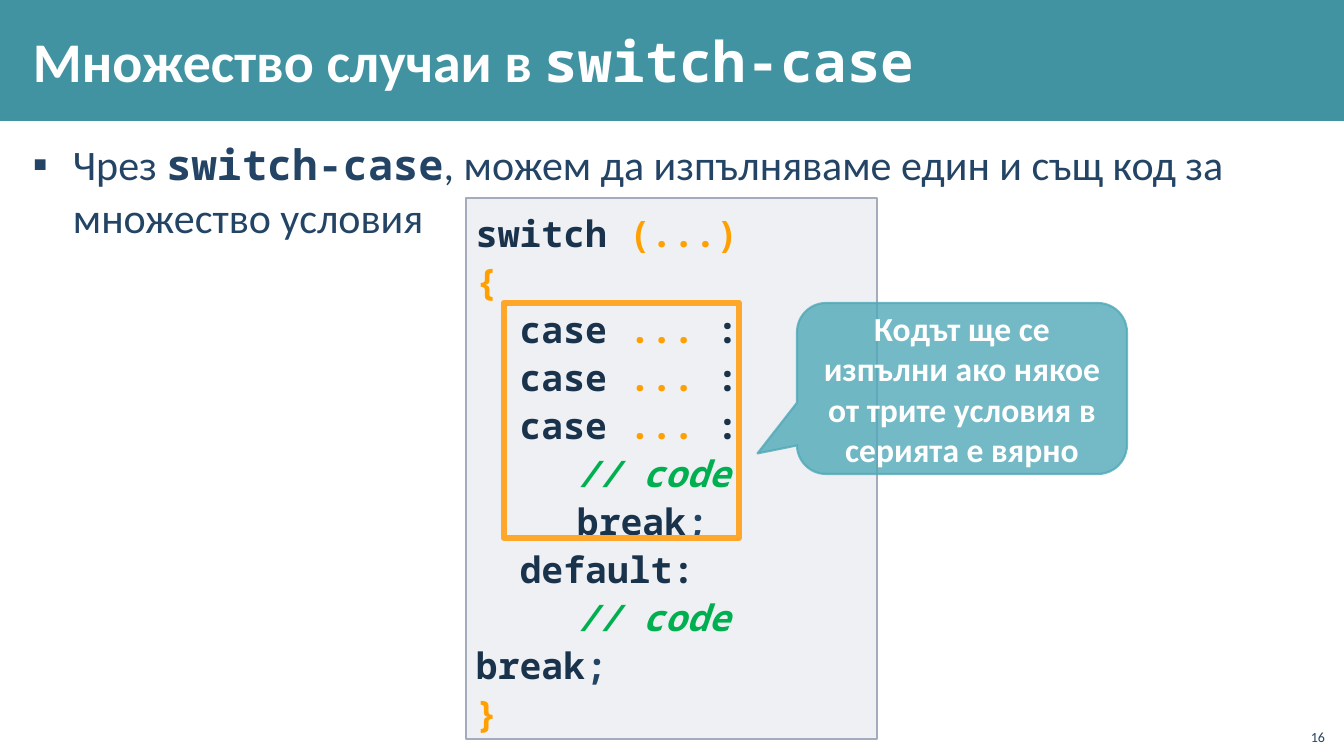
"""Build the slide on several cases in a switch-case statement."""
import dataclasses

import pptx
import pptx.dml.color
import pptx.enum.shapes
import pptx.enum.text
import pptx.oxml
import pptx.oxml.ns
import pptx.util

SHAPE = pptx.enum.shapes.MSO_SHAPE
ALIGN = pptx.enum.text.PP_ALIGN
ANCHOR = pptx.enum.text.MSO_ANCHOR


@dataclasses.dataclass(frozen=True)
class Theme:
    banner: str = "4193A1"
    white: str = "FFFFFF"
    ink: str = "234465"
    keyword: str = "1A334C"
    accent: str = "FFA000"
    comment: str = "00B050"
    code_fill: str = "C2C7D2"
    code_edge: str = "A3ABBC"
    frame: str = "FFA72A"
    callout: str = "50A9B8"
    sans: str = "Calibri"
    mono: str = "Noto Sans Mono"
    title_size: int = 40
    body_size: int = 30
    code_size: int = 26
    callout_size: int = 24
    number_size: int = 10


def px(length):
    return pptx.util.Emu(round(length * 914400 / 100.8))


def element(tag, **attributes):
    node = pptx.oxml.parse_xml(f"<a:{tag} {pptx.oxml.ns.nsdecls('a')}/>")
    for key, value in attributes.items():
        node.set(key, str(value))
    return node


def set_alpha(paint, percent):
    for colour in paint.iter(pptx.oxml.ns.qn("a:srgbClr")):
        colour.append(element("alpha", val=percent * 1000))


def add_run(paragraph, text, *, font, size, colour, bold=False, italic=False):
    run = paragraph.add_run()
    run.text = text
    run.font.name = font
    run.font.size = pptx.util.Pt(size)
    run.font.bold = bold
    run.font.italic = italic
    run.font.color.rgb = pptx.dml.color.RGBColor.from_string(colour)


class SlideBuilder:
    def __init__(self, deck, theme):
        self.theme = theme
        self.slide = deck.slides.add_slide(deck.slide_layouts[5])

    def shape(self, kind, box, fill=None, line=None, width=1, fill_alpha=100, line_alpha=100):
        shape = self.slide.shapes.add_shape(kind, *map(px, box))
        shape.shadow.inherit = False
        if fill:
            shape.fill.solid()
            shape.fill.fore_color.rgb = pptx.dml.color.RGBColor.from_string(fill)
            if fill_alpha < 100:
                set_alpha(shape._element.spPr.find(pptx.oxml.ns.qn("a:solidFill")), fill_alpha)
        else:
            shape.fill.background()
        if line:
            shape.line.color.rgb = pptx.dml.color.RGBColor.from_string(line)
            shape.line.width = pptx.util.Pt(width)
            if line_alpha < 100:
                set_alpha(shape._element.spPr.find(pptx.oxml.ns.qn("a:ln")), line_alpha)
        else:
            shape.line.fill.background()
        return shape

    def textbox(self, box):
        return self.slide.shapes.add_textbox(*map(px, box))

    def title(self, box):
        title = self.slide.shapes.title
        title.left, title.top, title.width, title.height = map(px, box)
        self.slide.shapes._spTree.append(title._element)
        return title

    def add_text(self, holder, paragraphs, *, font, size, colour, bold=False, align=ALIGN.LEFT,
                 anchor=ANCHOR.TOP, insets=(10, 5, 10, 5), spacing=None, bullet=None,
                 indent=0, tab=None):
        frame = holder.text_frame
        frame.word_wrap = True
        frame.auto_size = pptx.enum.text.MSO_AUTO_SIZE.NONE
        frame.vertical_anchor = anchor
        frame.margin_left, frame.margin_top, frame.margin_right, frame.margin_bottom = map(px, insets)
        for index, runs in enumerate(paragraphs):
            paragraph = frame.add_paragraph() if index else frame.paragraphs[0]
            paragraph.alignment = align
            if spacing:
                paragraph.line_spacing = spacing
            properties = paragraph._p.get_or_add_pPr()
            if bullet:
                properties.set("marL", str(px(indent)))
                properties.set("indent", str(-px(indent)))
                properties.append(element("buFont", typeface=font))
                properties.append(element("buChar", char=bullet))
            if tab:
                stops = element("tabLst")
                stops.append(element("tab", pos=px(tab), algn="l"))
                properties.append(stops)
            for text, changes in runs:
                style = dict(font=font, size=size, colour=colour, bold=bold)
                add_run(paragraph, text, **{**style, **changes})


def main():
    theme = Theme()
    deck = pptx.Presentation()
    deck.slide_width, deck.slide_height = px(1344), px(756)
    builder = SlideBuilder(deck, theme)

    builder.shape(SHAPE.RECTANGLE, (0, 0, 1344, 121), fill=theme.banner)

    builder.add_text(
        builder.title((21, 11, 1080, 98)),
        [[("Множество случаи в ", {}), ("switch-case", {"font": theme.mono})]],
        font=theme.sans, size=theme.title_size, colour=theme.white, bold=True,
        anchor=ANCHOR.MIDDLE, insets=(12, 4, 12, 4))

    builder.add_text(
        builder.textbox((21, 132, 1302, 613)),
        [[("Чрез ", {}), ("switch-case", {"font": theme.mono, "bold": True}),
          (", можем да изпълняваме един и същ код за множество условия", {})]],
        font=theme.sans, size=theme.body_size, colour=theme.ink,
        insets=(12, 4, 12, 4), spacing=1.05, bullet="▪", indent=40)

    accent = {"colour": theme.accent}
    case = [("  case ", {}), ("... ", accent), (":", {})]
    comment = [("\t", {}), ("// code", {"colour": theme.comment, "italic": True})]
    semicolon = (";", {"colour": theme.ink})
    listing = builder.shape(SHAPE.RECTANGLE, (466, 198, 411, 541), fill=theme.code_fill,
                            line=theme.code_edge, fill_alpha=25)
    builder.add_text(
        listing,
        [[("switch ", {}), ("(...)", accent)],
         [("{", accent)],
         *[case] * 3,
         comment,
         [("\tbreak", {}), semicolon],
         [("  default:", {})],
         comment,
         [("break", {}), semicolon],
         [("}", accent)]],
        font=theme.mono, size=theme.code_size, colour=theme.keyword, bold=True,
        insets=(10, 9, 10, 5), spacing=px(48), tab=101)

    builder.shape(SHAPE.RECTANGLE, (504, 303, 235, 235), line=theme.frame, width=4.5)

    callout = builder.shape(SHAPE.ROUNDED_RECTANGULAR_CALLOUT, (797, 303, 330, 171),
                            fill=theme.callout, line=theme.callout, width=1.5,
                            fill_alpha=80, line_alpha=80)
    for index, value in enumerate((-0.62, 0.38, 0.17)):
        callout.adjustments[index] = value
    builder.add_text(
        callout,
        [[("Кодът ще се изпълни ако някое от трите условия в серията е вярно", {})]],
        font=theme.sans, size=theme.callout_size, colour=theme.white, bold=True,
        align=ALIGN.CENTER, anchor=ANCHOR.MIDDLE)

    builder.add_text(
        builder.textbox((1295, 718, 40, 32)), [[("16", {})]],
        font=theme.sans, size=theme.number_size, colour=theme.ink,
        align=ALIGN.RIGHT, anchor=ANCHOR.BOTTOM)

    deck.save("out.pptx")


if __name__ == "__main__":
    main()
